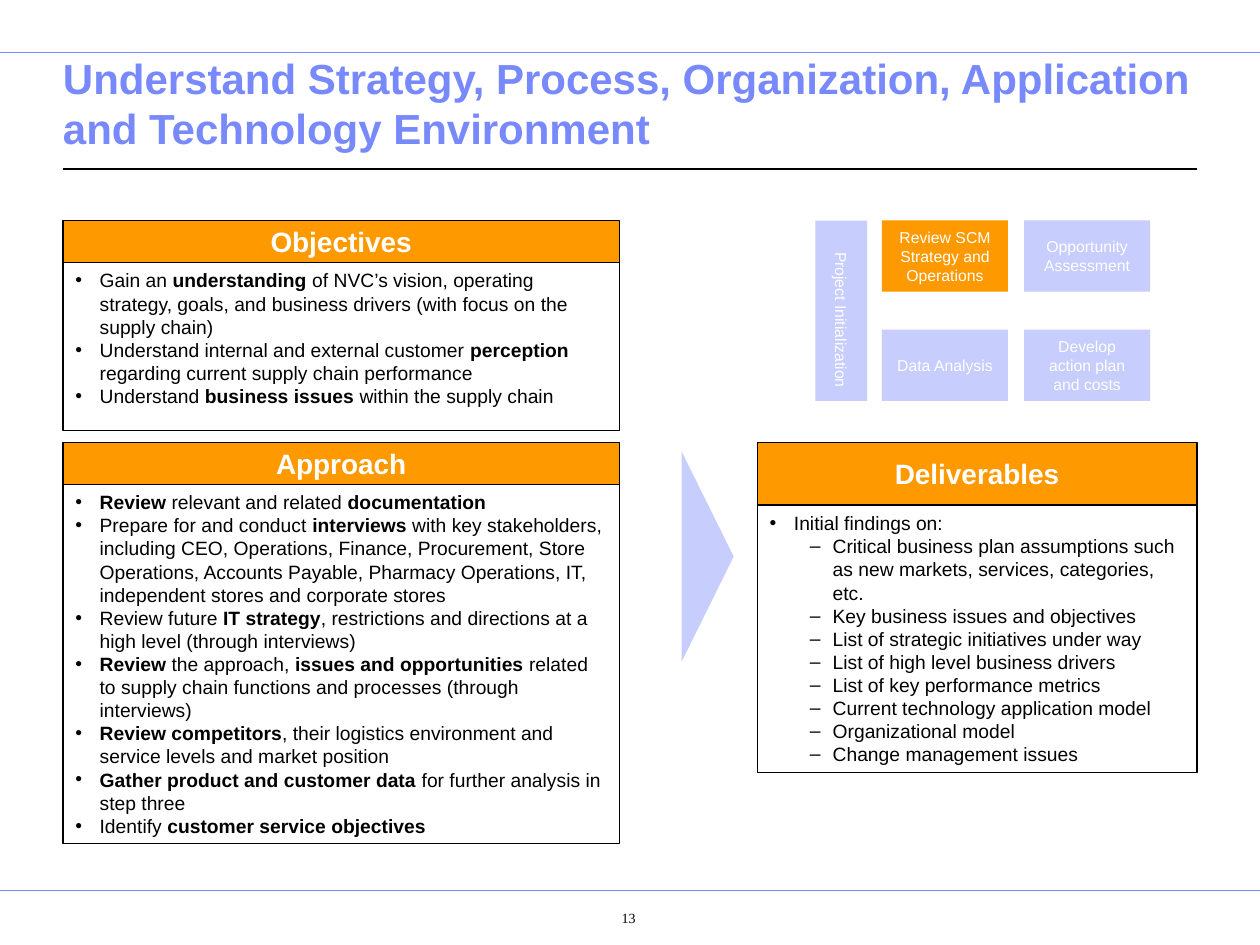
"""Build the slide on objectives, approach and deliverables of the strategy review."""
import pptx
import pptx.dml.color
import pptx.enum.shapes
import pptx.enum.text
import pptx.oxml
import pptx.oxml.ns
import pptx.util

Pt = pptx.util.Pt
SHAPE = pptx.enum.shapes.MSO_SHAPE
ALIGN = pptx.enum.text.PP_ALIGN
ANCHOR = pptx.enum.text.MSO_ANCHOR

COLORS = {
    "title": "7889FB", "accent": "FF9900", "pale": "C7CDFD",
    "black": "000000", "white": "FFFFFF",
}

TITLE = "Understand Strategy, Process, Organization, Application and Technology Environment"
PAGE_NUMBER = "13"

OBJECTIVES = [
    (0, "Gain an **understanding** of NVC’s vision, operating strategy, goals, and business drivers "
        "(with focus on the supply chain)"),
    (0, "Understand internal and external customer **perception** regarding current supply chain performance"),
    (0, "Understand **business issues** within the supply chain"),
]
APPROACH = [
    (0, "**Review** relevant and related **documentation**"),
    (0, "Prepare for and conduct **interviews** with key stakeholders, including CEO, Operations, Finance, "
        "Procurement, Store Operations, Accounts Payable, Pharmacy Operations, IT, independent stores "
        "and corporate stores"),
    (0, "Review future **IT strategy**, restrictions and directions at a high level (through interviews)"),
    (0, "**Review** the approach, **issues and opportunities** related to supply chain functions and "
        "processes (through interviews)"),
    (0, "**Review competitors**, their logistics environment and service levels and market position"),
    (0, "**Gather product and customer data** for further analysis in step three"),
    (0, "Identify **customer service objectives**"),
]
DELIVERABLES = [
    (0, "Initial findings on:"),
    (1, "Critical business plan assumptions such as new markets, services, categories, etc."),
    (1, "Key business issues and objectives"),
    (1, "List of strategic initiatives under way"),
    (1, "List of high level business drivers"),
    (1, "List of key performance metrics"),
    (1, "Current technology application model"),
    (1, "Organizational model"),
    (1, "Change management issues"),
]

LEFT, RIGHT, TOP, MIDDLE = 36, 684, 126, 252.7
LEFT_WIDTH, RIGHT_WIDTH = 318, 251.3
PANELS = [
    ("Objectives", OBJECTIVES, LEFT, TOP, LEFT_WIDTH, 24, 96),
    ("Approach", APPROACH, LEFT, MIDDLE, LEFT_WIDTH, 24, 205.2),
    ("Deliverables", DELIVERABLES, RIGHT - RIGHT_WIDTH, MIDDLE, RIGHT_WIDTH, 36, 152.6),
]
BULLETS = [("•", 13.9, -13.9), ("–", 36, -13)]

STEP_ROWS = [
    ["Review SCM Strategy and Operations", "Opportunity Assessment"],
    ["Data Analysis", "Develop action plan and costs"],
]
STEP_LEFT, STEP_WIDTH, STEP_HEIGHT = 504, 72, 40.7
STEP_COLUMN_PITCH, STEP_ROW_PITCH = 81.2, 62.4

RULES = [(0, 720, 30, "title", 0.5), (0, 720, 509, "title", 0.5), (LEFT, RIGHT, 96.5, "black", 0.75)]
INSETS = (7.2, 3.6, 7.2, 3.6)


def color(name):
    return pptx.dml.color.RGBColor.from_string(COLORS[name])


def add_run(paragraph, text, size, color_name, bold=False, font_name="Arial"):
    run = paragraph.add_run()
    run.text = text
    run.font.size = Pt(size)
    run.font.name = font_name
    run.font.bold = bold
    run.font.color.rgb = color(color_name)


def set_frame(shape, anchor, insets=INSETS):
    frame = shape.text_frame
    frame.word_wrap = True
    frame.vertical_anchor = anchor
    frame.margin_left, frame.margin_top, frame.margin_right, frame.margin_bottom = map(Pt, insets)
    return frame


def add_block(slide, bounds, fill=None, line=None, preset=SHAPE.RECTANGLE):
    shape = slide.shapes.add_shape(preset, *map(Pt, bounds))
    shape.shadow.inherit = False
    if fill:
        shape.fill.solid()
        shape.fill.fore_color.rgb = color(fill)
    else:
        shape.fill.background()
    if line:
        shape.line.color.rgb = color(line)
        shape.line.width = Pt(0.75)
    else:
        shape.line.fill.background()
    return shape


def add_label(shape, text, size, bold=False, insets=INSETS):
    paragraph = set_frame(shape, ANCHOR.MIDDLE, insets).paragraphs[0]
    paragraph.alignment = ALIGN.CENTER
    add_run(paragraph, text, size, "white", bold)


def add_text(slide, bounds, text, size, color_name, anchor, insets, align, **font):
    box = slide.shapes.add_textbox(*map(Pt, bounds))
    paragraph = set_frame(box, anchor, insets).paragraphs[0]
    paragraph.alignment = align
    add_run(paragraph, text, size, color_name, **font)


def set_bullet(paragraph, level):
    character, margin, indent = BULLETS[level]
    properties = paragraph._p.get_or_add_pPr()
    properties.set("marL", str(int(Pt(margin))))
    properties.set("indent", str(int(Pt(indent))))
    namespace = pptx.oxml.ns.nsdecls("a")
    for xml in (
        f'<a:buClr {namespace}><a:srgbClr val="{COLORS["black"]}"/></a:buClr>',
        f'<a:buFont {namespace} typeface="Arial"/>',
        f'<a:buChar {namespace} char="{character}"/>',
    ):
        properties.append(pptx.oxml.parse_xml(xml))


def add_panel(slide, heading, items, left, top, width, header_height, body_height):
    body = add_block(slide, (left, top + header_height, width, body_height), line="black")
    frame = set_frame(body, ANCHOR.TOP)
    for index, (level, text) in enumerate(items):
        paragraph = frame.add_paragraph() if index else frame.paragraphs[0]
        paragraph.alignment = ALIGN.LEFT
        paragraph.level = level
        set_bullet(paragraph, level)
        for part, piece in enumerate(text.split("**")):
            if piece:
                add_run(paragraph, piece, 11, "black", bold=part % 2 == 1)
    header = add_block(slide, (left, top, width, header_height), "accent", "black")
    add_label(header, heading, 16, bold=True)


def add_rule(slide, start, end, y, color_name, width):
    rule = slide.shapes.add_connector(
        pptx.enum.shapes.MSO_CONNECTOR.STRAIGHT, Pt(start), Pt(y), Pt(end), Pt(y))
    rule.line.color.rgb = color(color_name)
    rule.line.width = Pt(width)
    rule._element.spPr.append(pptx.oxml.parse_xml(f'<a:effectLst {pptx.oxml.ns.nsdecls("a")}/>'))


def add_steps(slide):
    start = add_block(slide, (466, TOP, 29.5, STEP_ROW_PITCH + STEP_HEIGHT), "pale")
    add_label(start, "Project Initialization", 9, insets=(3.6, 18, 3.6, 7.2))
    start.text_frame._txBody.bodyPr.set("vert", "eaVert")
    for row, names in enumerate(STEP_ROWS):
        for column, name in enumerate(names):
            bounds = (STEP_LEFT + column * STEP_COLUMN_PITCH, TOP + row * STEP_ROW_PITCH,
                      STEP_WIDTH, STEP_HEIGHT)
            add_label(add_block(slide, bounds, "pale" if row or column else "accent"), name, 9)


def main():
    presentation = pptx.Presentation()
    presentation.slide_width, presentation.slide_height = Pt(720), Pt(540)
    slide = presentation.slides.add_slide(presentation.slide_layouts[6])
    for rule in RULES:
        add_rule(slide, *rule)
    add_text(slide, (LEFT, 45.5, RIGHT - LEFT, 45.5), TITLE, 24, "title", ANCHOR.BOTTOM,
             (0, 3.6, 0, 3.6), ALIGN.LEFT, bold=True)
    for panel in PANELS:
        add_panel(slide, *panel)
    add_steps(slide)
    arrow = add_block(slide, (344.4, 303.2, 120, 29.7), "pale", preset=SHAPE.ISOSCELES_TRIANGLE)
    arrow.rotation = 90
    add_text(slide, (305.5, 514.5, 103, 25), PAGE_NUMBER, 8, "black", ANCHOR.TOP,
             (11.5, 5, 7.2, 3.6), ALIGN.CENTER, font_name="Times New Roman")
    presentation.save("out.pptx")


if __name__ == "__main__":
    main()
